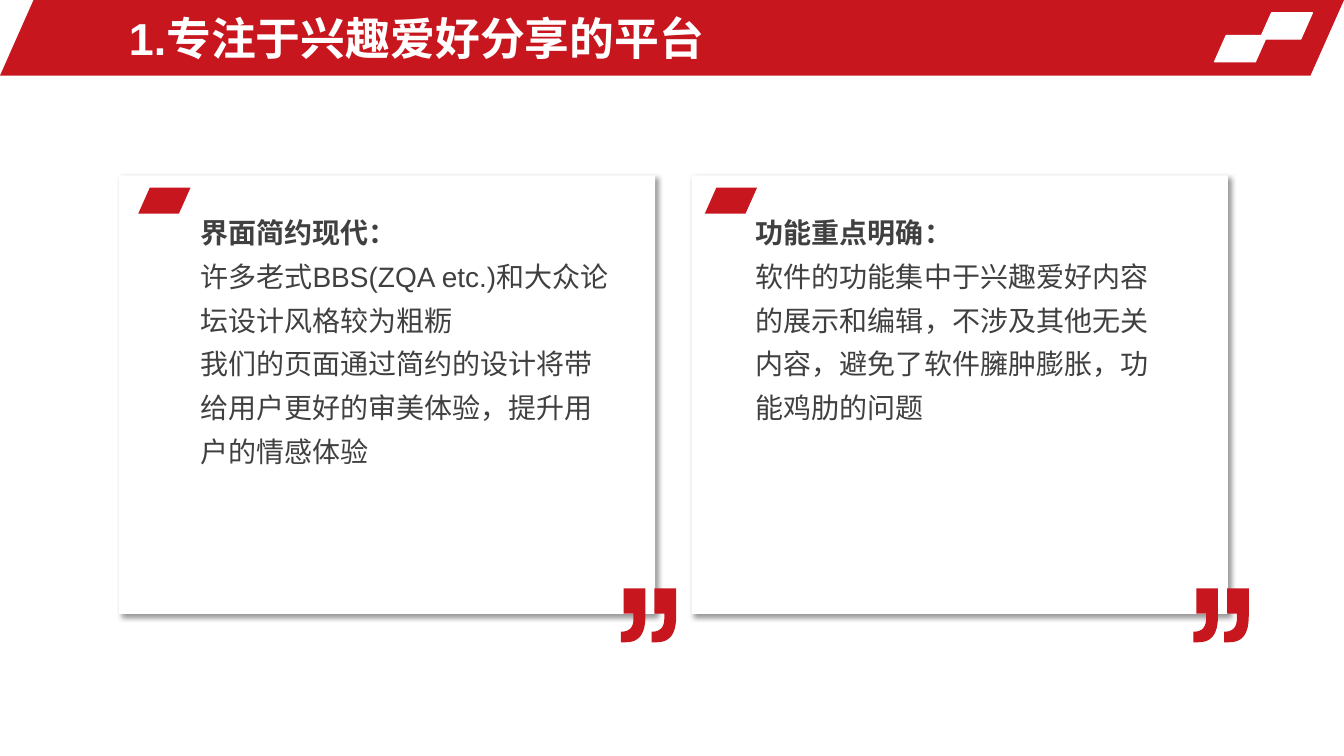
from dataclasses import dataclass

import lxml.etree
import pptx
import pptx.dml.color
import pptx.enum.shapes
import pptx.enum.text
import pptx.oxml.ns
import pptx.shapes.autoshape
import pptx.slide
import pptx.text.text
import pptx.util

Pt = pptx.util.Pt
KINDS = pptx.enum.shapes.MSO_SHAPE
COLORS = {"red": "C8161E", "white": "FFFFFF", "text": "404040", "shade": "000000"}
FONT = "Arial"
SLANT = 0.444
TILE = (37.4, 18.7)
STEP = 22  # gap between the starts of the two marks of a quote


@dataclass
class Card:
    left: float
    tag: float
    text: float
    depth: float
    lines: list[str]


CARDS = [
    Card(85, 98.7, 136, 193, [
        "界面简约现代：",
        "许多老式BBS(ZQA etc.)和大众论坛设计风格较为粗粝",
        "我们的页面通过简约的设计将带给用户更好的审美体验，提升用户的情感体验",
    ]),
    Card(494, 503.4, 532.8, 162, [
        "功能重点明确：",
        "软件的功能集中于兴趣爱好内容的展示和编辑，不涉及其他无关内容，"
        "避免了软件臃肿膨胀，功能鸡肋的问题",
    ]),
]


def color(name: str) -> pptx.dml.color.RGBColor:
    return pptx.dml.color.RGBColor.from_string(COLORS[name])


def paint(shape: pptx.shapes.autoshape.Shape, fill: str) -> None:
    shape.shadow.inherit = False
    shape.fill.solid()
    shape.fill.fore_color.rgb = color(fill)
    shape.line.fill.background()


def block(slide: pptx.slide.Slide, kind: KINDS, box: tuple[float, ...],
          fill: str, bend: float) -> pptx.shapes.autoshape.Shape:
    shape = slide.shapes.add_shape(kind, *map(Pt, box))
    shape.adjustments[0] = bend
    paint(shape, fill)
    return shape


def shade(shape: pptx.shapes.autoshape.Shape) -> None:
    qn = pptx.oxml.ns.qn
    sub = lxml.etree.SubElement
    effects = shape.element.spPr.find(qn("a:effectLst"))
    outer = sub(effects, qn("a:outerShdw"), blurRad=str(Pt(4)), dist=str(Pt(3)),
                dir=str(45 * 60000), algn="tl", rotWithShape="0")
    tint = sub(outer, qn("a:srgbClr"), val=COLORS["shade"])
    sub(tint, qn("a:alpha"), val="40000")


def style(para: pptx.text.text._Paragraph, size: float, tone: str, bold: bool) -> None:
    font = para.font
    font.name, font.size, font.bold = FONT, Pt(size), bold
    font.color.rgb = color(tone)


def curve(*knots: tuple[float, float]) -> list[tuple[float, float]]:
    """Sample a cubic curve through its four control points."""
    dots = []
    for i in range(13):
        t = i / 12
        parts = ((1 - t) ** 3, 3 * t * (1 - t) ** 2, 3 * t * t * (1 - t), t ** 3)
        dots.append(tuple(sum(w * k[axis] for w, k in zip(parts, knots))
                          for axis in (0, 1)))
    return dots


def quote(slide: pptx.slide.Slide, left: float, top: float) -> None:
    mark = [(2, 0), (17.5, 0),
            *curve((17.5, 20), (17.5, 32.5), (13, 38.5), (3.6, 38.5)),
            (0, 38.5),
            *curve((0, 31), (6.3, 31), (9, 27.5), (9, 21.8)),
            (9, 18), (2, 18)]
    first, second = ([(Pt(left + shift + x), Pt(top + y)) for x, y in mark]
                     for shift in (0, STEP))
    form = slide.shapes.build_freeform(*first[0])
    form.add_line_segments(first[1:])
    form.move_to(*second[0])
    form.add_line_segments(second[1:])
    paint(form.convert_to_shape(), "red")


def panel(slide: pptx.slide.Slide, card: Card) -> None:
    shade(block(slide, KINDS.ROUNDED_RECTANGLE, (card.left, 125.3, 383, 313.2), "white", 0))
    block(slide, KINDS.PARALLELOGRAM, (card.tag, 134, *TILE), "red", SLANT)
    frame = slide.shapes.add_textbox(
        Pt(card.text), Pt(143.3), Pt(306.7), Pt(card.depth)).text_frame
    frame.word_wrap = True
    frame.auto_size = pptx.enum.text.MSO_AUTO_SIZE.SHAPE_TO_FIT_TEXT
    frame.text = "\n".join(card.lines)
    for i, para in enumerate(frame.paragraphs):
        para.line_spacing = 1.3
        style(para, 20, "text", i == 0)
    quote(slide, card.left + 358.5, 420.3)


def main() -> None:
    deck = pptx.Presentation()
    deck.slide_width, deck.slide_height = Pt(960), Pt(540)
    slide = deck.slides.add_slide(deck.slide_layouts[6])

    # Header band with its two white tiles
    block(slide, KINDS.PARALLELOGRAM, (0, 0, 960, 54), "red", SLANT)
    for left, top in ((900, 9.2), (867.6, 25.4)):
        tile = block(slide, KINDS.PARALLELOGRAM, (left, top, *TILE), "white", SLANT)
        tile.line.color.rgb = color("white")
        tile.line.width = Pt(1)

    # Title
    frame = slide.shapes.add_textbox(Pt(85), Pt(3.6), Pt(557.3), Pt(46.8)).text_frame
    frame.word_wrap = True
    frame.vertical_anchor = pptx.enum.text.MSO_ANCHOR.MIDDLE
    frame.text = "1.专注于兴趣爱好分享的平台"
    style(frame.paragraphs[0], 32, "white", True)

    # Cards
    for card in CARDS:
        panel(slide, card)

    deck.save("out.pptx")


if __name__ == "__main__":
    main()
